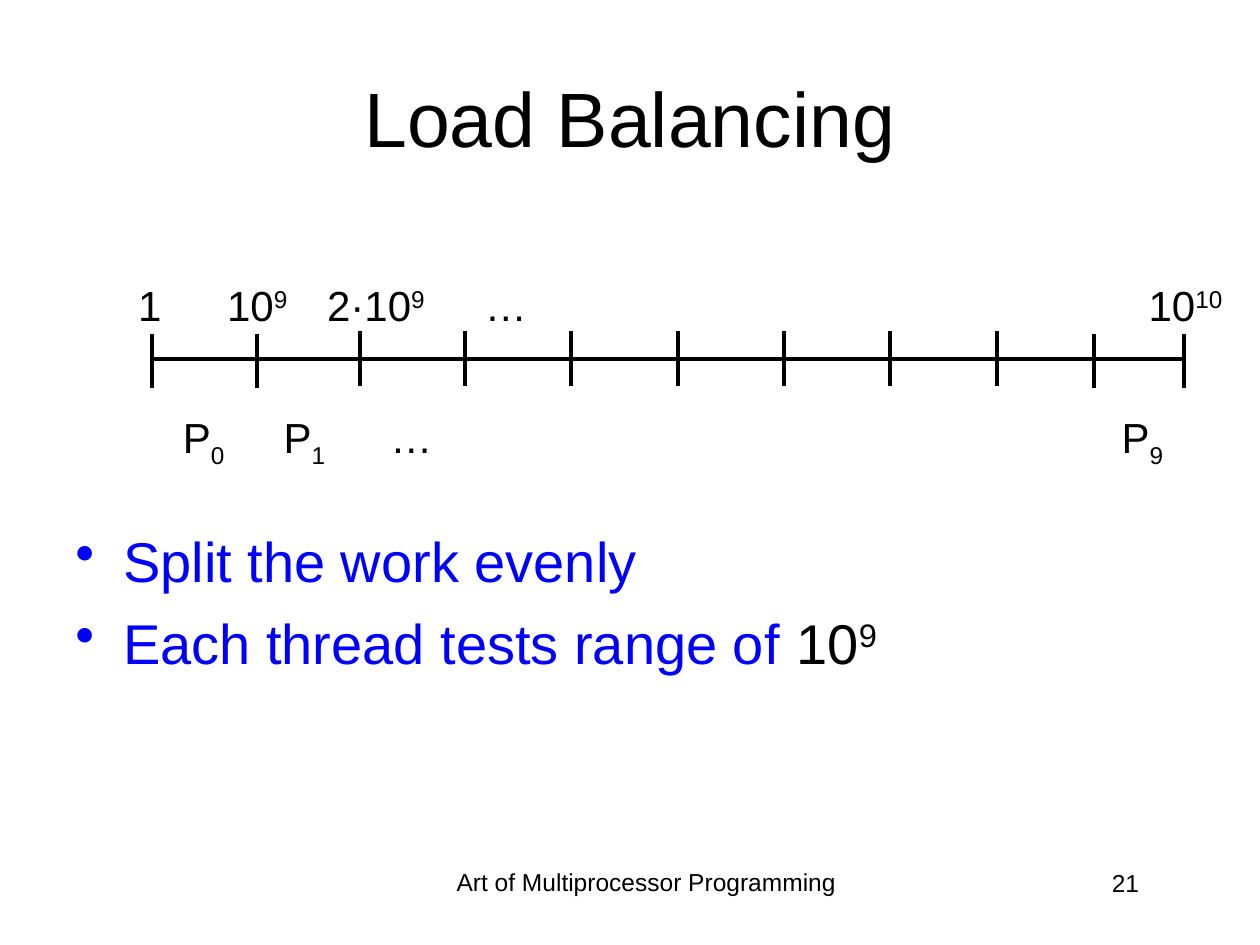
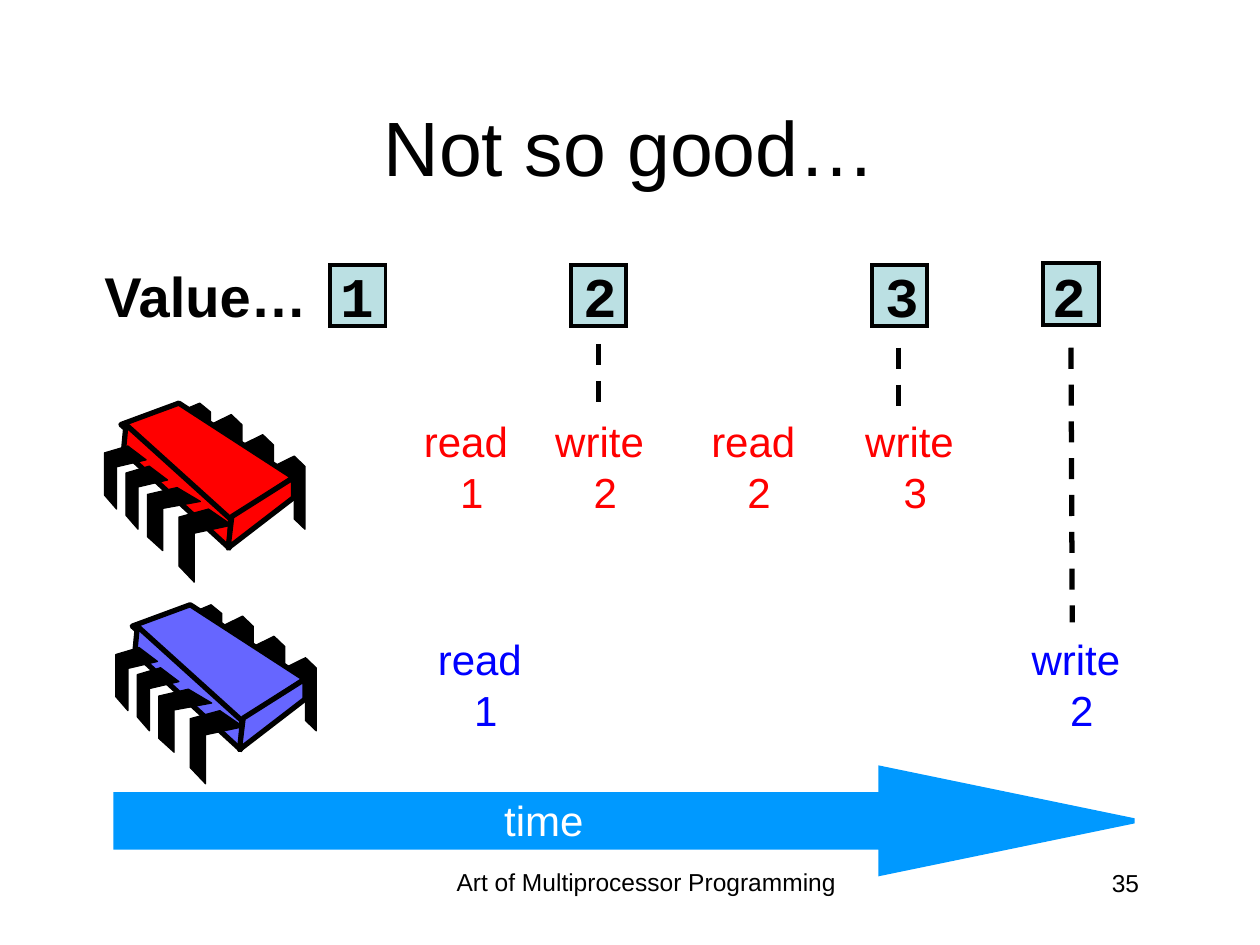
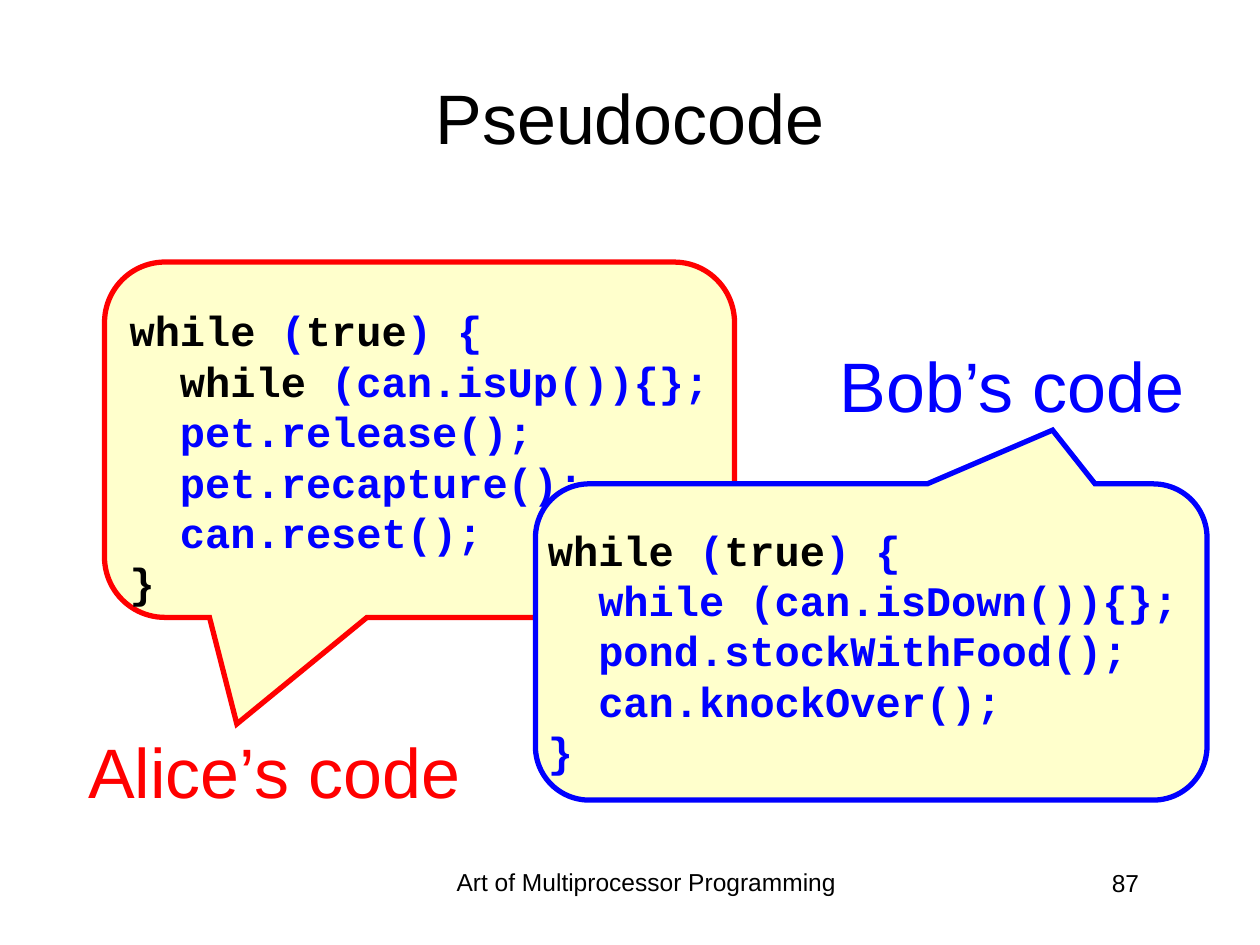
from lxml import etree
from pptx import Presentation
from pptx.dml.color import RGBColor
from pptx.enum.dml import MSO_LINE
from pptx.enum.shapes import MSO_CONNECTOR, MSO_SHAPE
from pptx.enum.text import MSO_ANCHOR, MSO_AUTO_SIZE, PP_ALIGN
from pptx.oxml.ns import qn
from pptx.util import Inches, Pt

LEFT, CENTER, RIGHT = PP_ALIGN.LEFT, PP_ALIGN.CENTER, PP_ALIGN.RIGHT
TOP, MIDDLE = MSO_ANCHOR.TOP, MSO_ANCHOR.MIDDLE
DASH, SOLID = MSO_LINE.DASH, MSO_LINE.SOLID
RECT, ARROW = MSO_SHAPE.RECTANGLE, MSO_SHAPE.RIGHT_ARROW
CALLOUT = MSO_SHAPE.ROUNDED_RECTANGULAR_CALLOUT

BLACK = RGBColor(0x00, 0x00, 0x00)
WHITE = RGBColor(0xFF, 0xFF, 0xFF)
RED = RGBColor(0xFF, 0x00, 0x00)
BLUE = RGBColor(0x00, 0x00, 0xFF)
VIOLET = RGBColor(0x66, 0x66, 0xFF)
PALE_TEAL = RGBColor(0xBB, 0xE0, 0xE3)
PALE_YELLOW = RGBColor(0xFF, 0xFF, 0xCC)
SKY = RGBColor(0x00, 0x99, 0xFF)
SANS, MONO = "Arial", "Courier New"

prs = Presentation()
prs.slide_width, prs.slide_height = Inches(10), Inches(7.5)
COL = prs.slide_width / 10
ROW = prs.slide_height / 7.5


def add_text(s, text, x, y, w, h, size=24, font=SANS, color=BLACK, bold=False, align=LEFT,
             anchor=TOP, wrap=False, bullet=False, space=0, inset=0.05):
    box = s.shapes.add_textbox(round(x * COL), round(y * ROW), round(w * COL), round(h * ROW))
    tf = box.text_frame
    tf.word_wrap = wrap
    tf.auto_size = MSO_AUTO_SIZE.NONE if wrap else MSO_AUTO_SIZE.SHAPE_TO_FIT_TEXT
    tf.vertical_anchor = anchor
    tf.margin_top = round(inset * ROW)
    for i, runs in enumerate([text] if isinstance(text, str) else text):
        p = tf.add_paragraph() if i else tf.paragraphs[0]
        p.alignment = align
        if i and space:
            p.space_before = Pt(space)
        if bullet:
            pPr = p._p.get_or_add_pPr()
            pPr.set("marL", str(round(0.38 * COL)))
            pPr.set("indent", str(round(-0.38 * COL)))
            etree.SubElement(pPr, qn("a:buChar")).set("char", "•")
        for run in [(runs, {})] if isinstance(runs, str) else runs:
            words, change = run
            r = p.add_run()
            r.text = words
            r.font.size = Pt(size)
            r.font.bold = bold
            r.font.name = change.get("font", font)
            r.font.color.rgb = change.get("color", color)
            if "base" in change:
                r._r.get_or_add_rPr().set("baseline", str(change["base"] * 1000))


def paint(shape, fill, line, width, join="miter"):
    shape.shadow.inherit = False
    shape.fill.solid()
    shape.fill.fore_color.rgb = fill
    shape.line.color.rgb = line
    shape.line.width = Pt(width)
    etree.SubElement(shape.line._get_or_add_ln(), qn(f"a:{join}"))


slides = []
for title, size, number, x, y, w in [
    ("Load Balancing", 44, "21", 0.5, 0.3, 9),
    ("Not so good…", 44, "35", 0.75, 0.53, 8.5),
    ("Pseudocode", 40, "87", 0.5, 0.3, 9),
]:
    s = prs.slides.add_slide(prs.slide_layouts[6])
    slides.append(s)
    add_text(s, "Art of Multiprocessor Programming", 3.42, 6.83, 3.42, 0.52, size=14,
             align=CENTER, wrap=True)
    add_text(s, number, 7.06, 6.84, 2.08, 0.5, size=14, align=RIGHT, wrap=True)
    add_text(s, title, x, y, w, 1.25, size=size, align=CENTER, anchor=MIDDLE, wrap=True)
balancing, race, pseudocode = slides

SUP, SUB = {"base": 30}, {"base": -25}
TICKS = [1.21, 2.04, 2.86, 3.69, 4.53, 5.38, 6.22, 7.06, 7.91, 8.68, 9.4]
lines = [(balancing, TICKS[0], 2.85, TICKS[-1], 2.85, 2.25, SOLID)]
for i, x in enumerate(TICKS):
    y = 2.65 if i in (0, 1, 9, 10) else 2.63
    lines.append((balancing, x, y, x, y + 0.43, 2.25, SOLID))
lines += [
    (race, 4.75, 2.73, 4.75, 3.31, 3, DASH),
    (race, 7.13, 2.76, 7.13, 3.28, 3, DASH),
    (race, 8.5, 2.76, 8.51, 4.94, 3, DASH),
]
for s, x1, y1, x2, y2, width, dash in lines:
    c = s.shapes.add_connector(MSO_CONNECTOR.STRAIGHT, round(x1 * COL), round(y1 * ROW),
                               round(x2 * COL), round(y2 * ROW))
    c.line.color.rgb = BLACK
    c.line.width = Pt(width)
    c.line.dash_style = dash
    etree.SubElement(c._element.spPr, qn("a:effectLst"))

for runs, x, y, w in [
    ([("1", {})], 0.99, 2.17, 0.39),
    ([("10", {}), ("9", SUP)], 1.68, 2.17, 0.7),
    ([("2·10", {}), ("9", SUP)], 2.47, 2.17, 1),
    ([("…", {})], 3.75, 2.17, 0.53),
    ([("10", {}), ("10", SUP)], 8.97, 2.17, 0.83),
    ([("P", {}), ("0", SUB)], 1.33, 3.22, 0.55),
    ([("P", {}), ("1", SUB)], 2.13, 3.22, 0.55),
    ([("…", {})], 3, 3.22, 0.53),
    ([("P", {}), ("9", SUB)], 8.78, 3.22, 0.55),
]:
    add_text(balancing, [runs], x, y, w, 0.5, align=RIGHT)
add_text(balancing, [
    "Split the work evenly",
    [("Each thread tests range of ", {}), ("10", {"color": BLACK}),
     ("9", {"color": BLACK, "base": 30})],
], 0.5, 4.13, 9, 1.76, size=32, color=BLUE, wrap=True, bullet=True, space=8.3)

for x, y in [(2.62, 2.1), (4.53, 2.1), (6.92, 2.1), (8.28, 2.09)]:
    cell = race.shapes.add_shape(RECT, round(x * COL), round(y * ROW),
                                 round(0.44 * COL), round(0.49 * ROW))
    paint(cell, PALE_TEAL, BLACK, 2.25)
add_text(race, [[("Value…", {}), (" 1", {"font": MONO})]], 0.73, 2.03, 2.34, 0.63,
         size=32, bold=True, align=RIGHT)
for value, x in [("2", 4.53), ("3", 6.92), ("2", 8.25)]:
    add_text(race, value, x, 2.03, 0.47, 0.63, size=32, font=MONO, bold=True, align=RIGHT)

time_arrow = race.shapes.add_shape(ARROW, round(0.92 * COL), round(6.1 * ROW),
                                   round(8.08 * COL), round(0.83 * ROW))
time_arrow.adjustments[0], time_arrow.adjustments[1] = 0.5, 2.42
paint(time_arrow, SKY, SKY, 3)
add_text(race, "time", 3.89, 6.26, 0.84, 0.51, color=WHITE, align=RIGHT)

BACK_PIN = [(0, 0.14), (0.66, 0), (1, 0.14), (1, 1), (0.66, 0.86), (0.66, 0.29), (0, 0.43)]
FRONT_PIN = [(0.56, 0), (1, 0.22), (0.29, 0.33), (0.29, 1), (0, 0.78), (0, 0.11)]
back_pins = [(1.34, 0.42, 0.25, 0.58), (1.09, 0.25, 0.25, 0.58),
             (0.84, 0.09, 0.25, 0.58), (0.59, 0, 0.25, 0.5)]
front_pins = [(0.59, 0.84, 0.42, 0.58), (0.34, 0.67, 0.42, 0.5),
              (0.17, 0.5, 0.33, 0.5), (0, 0.34, 0.33, 0.5)]
chip_faces = [
    [(0.59, 0), (1.5, 0.59), (0.99, 0.93), (0.13, 0.17)],
    [(0.17, 0.17), (1, 0.92), (0.99, 1.15), (0.15, 0.38)],
    [(1.5, 0.59), (1.5, 0.75), (0.98, 1.15), (1.01, 0.9)],
]
for chip_x, chip_y, chip_color in [(0.83, 3.2, RED), (0.92, 4.8, VIOLET)]:
    back, front = [
        [([(x + u * w, y + v * h) for u, v in pin], BLACK, 0.75) for x, y, w, h in pins]
        for pin, pins in [(BACK_PIN, back_pins), (FRONT_PIN, front_pins)]
    ]
    faces = [(face, chip_color, 3) for face in chip_faces]
    for outline, fill, width in back + faces + front:
        points = [(round((chip_x + x) * COL), round((chip_y + y) * ROW)) for x, y in outline]
        path = race.shapes.build_freeform(*points[0], scale=1.0)
        path.add_line_segments(points[1:], close=True)
        paint(path.convert_to_shape(), fill, BLACK, width, join="round")

for action, value, x, y, w, color in [
    ("read ", "1", 3.26, 3.25, 0.97, RED),
    ("write ", "2", 4.3, 3.25, 1.01, RED),
    ("read ", "2", 5.54, 3.25, 0.97, RED),
    ("write ", "3", 6.76, 3.25, 1.01, RED),
    ("read ", "1", 3.37, 4.98, 0.97, BLUE),
    ("write ", "2", 8.08, 4.98, 1.01, BLUE),
]:
    add_text(race, [action, value], x, y, w, 0.91, color=color, align=CENTER)

KEYWORD = {"color": BLACK}
loop_head = [("while", KEYWORD), (" (", {}), ("true", KEYWORD), (") {", {})]
alice_code = [
    loop_head,
    [("  ", {}), ("while", KEYWORD), (" (can.isUp()){};", {})],
    "  pet.release();",
    "  pet.recapture();",
    "  can.reset();",
    [("}", KEYWORD)],
]
bob_code = [
    loop_head,
    "  while (can.isDown()){};",
    "  pond.stockWithFood();",
    "  can.knockOver();",
    "}",
]
for color, bubble, pointer, code, code_at, owner, owner_at in [
    (RED, (0.83, 2.08, 5, 2.82), (-0.29, 0.8), alice_code, (0.93, 2.42, 5.49, 2.4),
     "Alice’s code", (0.5, 5.73, 3.25, 0.77)),
    (BLUE, (4.25, 3.84, 5.33, 2.51), (0.27, -0.67), bob_code, (4.25, 4.16, 5.4, 2),
     "Bob’s code", (6.53, 2.67, 2.97, 0.77)),
]:
    x, y, w, h = bubble
    callout = pseudocode.shapes.add_shape(CALLOUT, round(x * COL), round(y * ROW),
                                          round(w * COL), round(h * ROW))
    for i, value in enumerate((*pointer, 0.17)):
        callout.adjustments[i] = value
    paint(callout, PALE_YELLOW, color, 3)
    add_text(pseudocode, code, *code_at, font=MONO, color=BLUE, bold=True, wrap=True, inset=0)
    add_text(pseudocode, owner, *owner_at, size=40, color=color, align=RIGHT)

prs.save("out.pptx")
